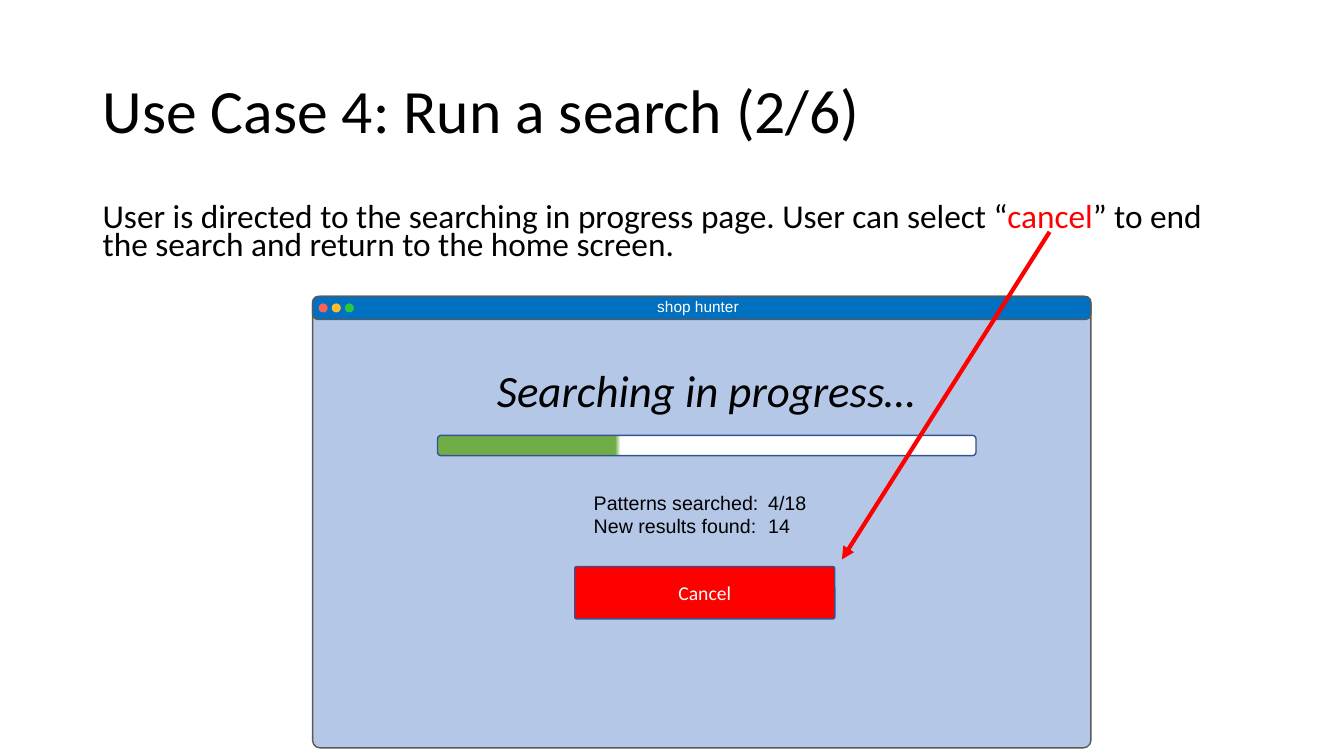
from lxml import etree
from pptx import Presentation
from pptx.dml.color import RGBColor
from pptx.enum.shapes import MSO_CONNECTOR, MSO_SHAPE
from pptx.enum.text import MSO_ANCHOR, PP_ALIGN
from pptx.oxml.ns import qn
from pptx.util import Inches, Pt

ROUNDED, OVAL = MSO_SHAPE.ROUNDED_RECTANGLE, MSO_SHAPE.OVAL
STRAIGHT = MSO_CONNECTOR.STRAIGHT
TOP, MIDDLE = MSO_ANCHOR.TOP, MSO_ANCHOR.MIDDLE
LEFT, CENTER = PP_ALIGN.LEFT, PP_ALIGN.CENTER

BLACK = RGBColor(0x00, 0x00, 0x00)
WHITE = RGBColor(0xFF, 0xFF, 0xFF)
RED = RGBColor(0xFF, 0x00, 0x00)
GREEN = RGBColor(0x70, 0xAD, 0x47)
WINDOW_BLUE = RGBColor(0xB4, 0xC7, 0xE7)
BAR_BLUE = RGBColor(0x00, 0x70, 0xC0)
EDGE_GREY = RGBColor(0x59, 0x59, 0x59)
EDGE_BLUE = RGBColor(0x32, 0x54, 0x91)
BUTTON_COLORS = (
    RGBColor(0xFF, 0x5F, 0x57),
    RGBColor(0xFF, 0xBC, 0x2E),
    RGBColor(0x28, 0xC8, 0x40),
)


class SlideBuilder:
    heading_font = "Calibri"
    label_font = "Arial"

    def __init__(self, presentation):
        self.slide = presentation.slides.add_slide(presentation.slide_layouts[5])

    def format_run(self, run, size, color=BLACK, font=heading_font, italic=False):
        run.font.size = Pt(size)
        run.font.name = font
        run.font.color.rgb = color
        run.font.italic = italic

    def title(self, text, box):
        title = self.slide.shapes.title
        title.left, title.top, title.width, title.height = map(Inches, box)
        frame = title.text_frame
        frame.text = text
        frame.vertical_anchor = MIDDLE
        paragraph = frame.paragraphs[0]
        paragraph.alignment = LEFT
        paragraph.line_spacing = 0.9
        self.format_run(paragraph.runs[0], 44)

    def text(self, lines, box, size, wrap=False, spacing=None, tab=None, **style):
        frame = self.slide.shapes.add_textbox(*map(Inches, box)).text_frame
        frame.word_wrap = wrap
        frame.vertical_anchor = TOP
        for index, line in enumerate(lines):
            paragraph = frame.add_paragraph() if index else frame.paragraphs[0]
            if tab:
                properties = paragraph._p.get_or_add_pPr()
                stops = etree.SubElement(properties, qn("a:tabLst"))
                etree.SubElement(stops, qn("a:tab"), pos=str(Inches(tab)), algn="l")
            if spacing:
                paragraph.line_spacing = spacing
            for words, color in line:
                run = paragraph.add_run()
                run.text = words
                self.format_run(run, size, color, **style)

    def panel(self, kind, box, fill=None, edge=None, corner=None):
        panel = self.slide.shapes.add_shape(kind, *map(Inches, box))
        panel.shadow.inherit = False
        if corner is not None:
            panel.adjustments[0] = corner
        if fill is not None:
            panel.fill.solid()
            panel.fill.fore_color.rgb = fill
        if edge is None:
            panel.line.fill.background()
        else:
            panel.line.color.rgb = edge
            panel.line.width = Pt(1)
        return panel

    def button(self, text, box, fill, edge, corner):
        frame = self.panel(ROUNDED, box, fill, edge, corner).text_frame
        frame.text = text
        frame.vertical_anchor = MIDDLE
        frame.paragraphs[0].alignment = CENTER
        self.format_run(frame.paragraphs[0].runs[0], 14, WHITE)

    def progress_bar(self, box, stops, edge):
        bar = self.panel(ROUNDED, box, edge=edge)
        bar.fill.gradient()
        bar.fill.gradient_angle = 0
        for stop, (position, color) in zip(bar.fill.gradient_stops, stops):
            stop.position = position
            stop.color.rgb = color

    def arrow(self, start, end, color, width):
        arrow = self.slide.shapes.add_connector(STRAIGHT, *map(Inches, start + end))
        arrow.line.color.rgb = color
        arrow.line.width = Pt(width)
        etree.SubElement(arrow.line._get_or_add_ln(), qn("a:tailEnd"), type="triangle")
        etree.SubElement(arrow._element.spPr, qn("a:effectLst"))


def main():
    presentation = Presentation()
    presentation.slide_width = Inches(13.33)
    presentation.slide_height = Inches(7.5)
    page = SlideBuilder(presentation)

    page.title("Use Case 4: Run a search (2/6)", (0.92, 0.4, 11.5, 1.45))
    instruction = [
        ("User is directed to the searching in progress page. User can select “", BLACK),
        ("cancel", RED),
        ("” to end the search and return to the home screen.", BLACK),
    ]
    page.text([instruction], (0.92, 2, 11.5, 0.69), 23.8, wrap=True, spacing=0.7)

    page.panel(ROUNDED, (3.1, 2.94, 7.72, 4.48), WINDOW_BLUE, EDGE_GREY, 0.017)
    page.panel(ROUNDED, (3.1, 2.94, 7.72, 0.23), BAR_BLUE, EDGE_GREY, 0.248)
    for index, color in enumerate(BUTTON_COLORS):
        page.panel(OVAL, (3.16 + 0.13 * index, 3.01, 0.09, 0.09), color)
    page.text([[("shop hunter", WHITE)]], (6.42, 2.9, 1.02, 0.29), 11,
              font=page.label_font)

    page.button("Cancel", (5.7, 5.62, 2.58, 0.52), RED, EDGE_BLUE, 0.038)
    page.text([[("Searching in progress…", BLACK)]], (4.83, 3.55, 4.4, 0.64), 32,
              italic=True)
    page.progress_bar((4.34, 4.32, 5.34, 0.2), ((0.33, GREEN), (0.34, WHITE)), EDGE_BLUE)
    counts = [[("Patterns searched:\t4/18", BLACK)], [("New results found:\t14", BLACK)]]
    page.text(counts, (5.79, 4.82, 2.35, 0.57), 14, wrap=True, tab=1.73,
              font=page.label_font)
    page.arrow((10.41, 2.3), (8.35, 5.55), RED, 3)

    presentation.save("out.pptx")


if __name__ == "__main__":
    main()
